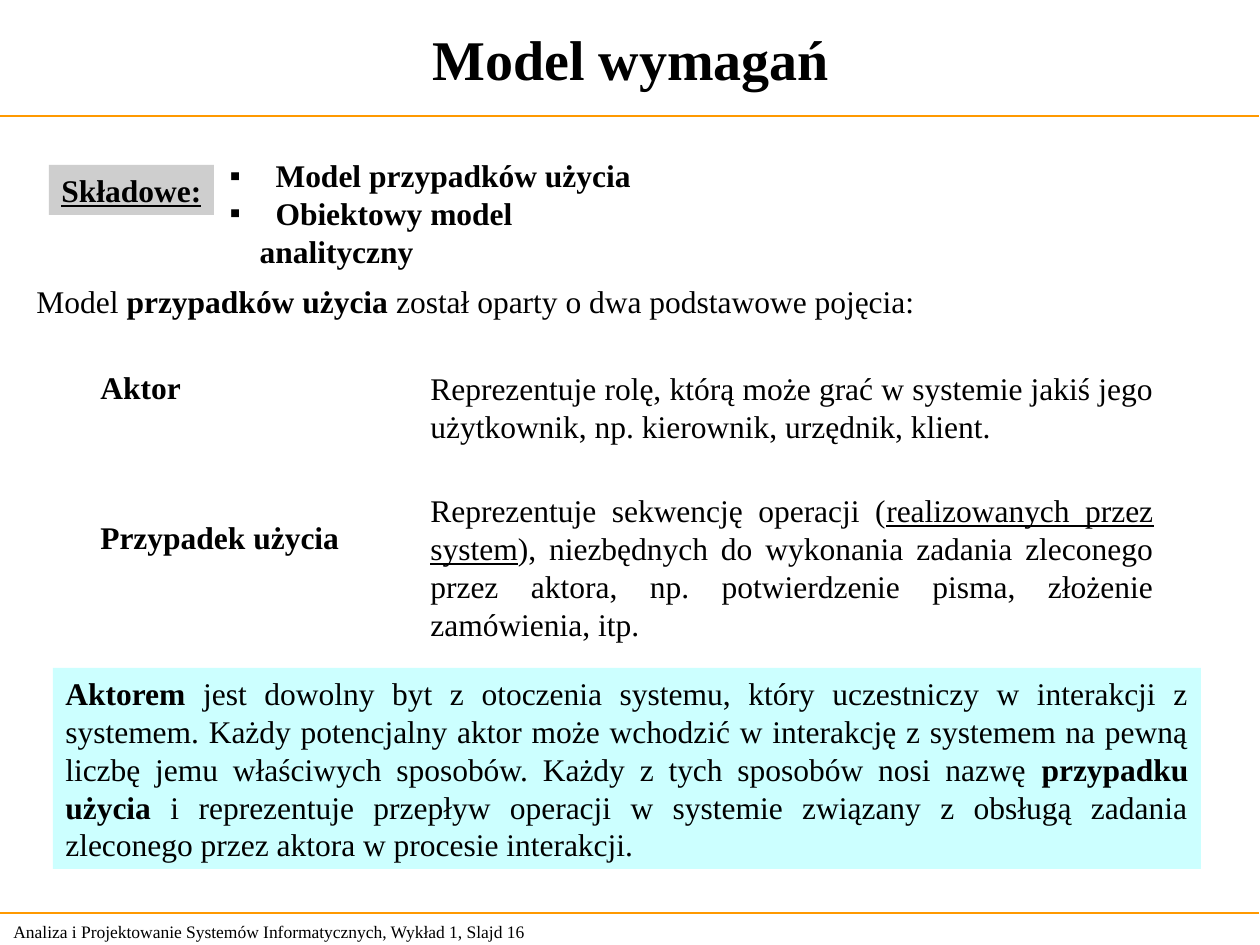
from dataclasses import dataclass

from lxml.etree import SubElement
from pptx import Presentation
from pptx.dml.color import RGBColor
from pptx.enum.shapes import MSO_CONNECTOR, MSO_SHAPE
from pptx.enum.text import MSO_ANCHOR, MSO_AUTO_SIZE, PP_ALIGN
from pptx.oxml.ns import qn
from pptx.util import Emu, Pt


@dataclass(frozen=True)
class Theme:
    """Colours, font and type sizes of the slide."""
    font: str = "Times New Roman"
    ink: RGBColor = RGBColor(0, 0, 0)
    rule: RGBColor = RGBColor(0xFF, 0x99, 0x00)
    grey: RGBColor = RGBColor(0xCE, 0xCE, 0xCE)
    cyan: RGBColor = RGBColor(0xCC, 0xFF, 0xFF)
    title: int = 32
    body: int = 18
    footer: int = 10


THEME = Theme()


def px(n):
    """Turn pixels into EMU."""
    return Emu(round(n * 914400 / 126))


def place(sp, x, y, w, h):
    """Position a shape, in pixels."""
    sp.left, sp.top, sp.width, sp.height = px(x), px(y), px(w), px(h)


def frame(sp, anchor=MSO_ANCHOR.TOP, wrap=True):
    """Set up the text frame of a shape and return it."""
    tf = sp.text_frame
    tf.auto_size = MSO_AUTO_SIZE.NONE
    tf.word_wrap = wrap
    tf.vertical_anchor = anchor
    return tf


def write(p, runs, size=THEME.body, align=PP_ALIGN.LEFT):
    """Write (text, style) runs, where style may hold b and u."""
    p.alignment = align
    p.space_before = Pt(0)
    for text, style in runs:
        r = p.add_run()
        r.text = text
        r.font.name = THEME.font
        r.font.size = Pt(size)
        r.font.color.rgb = THEME.ink
        r.font.bold = "b" in style
        r.font.underline = "u" in style


def add_title(s, text):
    """Fill the title placeholder."""
    sp = s.shapes.title
    place(sp, 0, 0, 1262, 116)
    tf = frame(sp, MSO_ANCHOR.MIDDLE)
    write(tf.paragraphs[0], [(text, "b")], THEME.title, PP_ALIGN.CENTER)


def add_list(s, items):
    """Fill the body placeholder with square bullets."""
    sp = s.placeholders[1]
    place(sp, 217, 150, 462, 88)
    tf = frame(sp)
    for i, item in enumerate(items):
        p = tf.paragraphs[0] if i == 0 else tf.add_paragraph()
        pPr = p._p.get_or_add_pPr()
        pPr.set("marL", str(px(30)))
        pPr.set("indent", str(px(-30)))
        SubElement(pPr, qn("a:buFont"), typeface="Arial")
        SubElement(pPr, qn("a:buChar"), char="▪")
        tabs = SubElement(pPr, qn("a:tabLst"))
        SubElement(tabs, qn("a:tab"), pos=str(px(46)), algn="l")
        write(p, [("\t" + item, "b")])


def add_text(s, box, runs, size=THEME.body, align=PP_ALIGN.LEFT,
             anchor=MSO_ANCHOR.TOP, wrap=True):
    """Add a plain text box."""
    sp = s.shapes.add_textbox(*map(px, box))
    write(frame(sp, anchor, wrap).paragraphs[0], runs, size, align)


def add_panel(s, box, fill, runs, align=PP_ALIGN.LEFT, wrap=True):
    """Add a filled rectangle with text."""
    sp = s.shapes.add_shape(MSO_SHAPE.RECTANGLE, *map(px, box))
    sp.shadow.inherit = False
    sp.fill.solid()
    sp.fill.fore_color.rgb = fill
    sp.line.fill.background()
    write(frame(sp, wrap=wrap).paragraphs[0], runs, align=align)


def add_rule(s, y):
    """Add a horizontal line across the slide."""
    cn = s.shapes.add_connector(MSO_CONNECTOR.STRAIGHT, px(-1), px(y), px(1259), px(y))
    cn.line.color.rgb = THEME.rule
    cn.line.width = Pt(0.75)
    SubElement(cn._element.spPr, qn("a:effectLst"))


def main():
    """Build the slide and save it."""
    prs = Presentation()
    prs.slide_width, prs.slide_height = px(1260), px(945)
    s = prs.slides.add_slide(prs.slide_layouts[1])

    for y in (116, 913):
        add_rule(s, y)
    add_text(s, (1, 914, 599, 34), [
        ("Analiza i Projektowanie Systemów Informatycznych, Wykład 1, Slajd 16", ""),
    ], THEME.footer, anchor=MSO_ANCHOR.MIDDLE)

    add_title(s, "Model wymagań")
    add_list(s, ["Model przypadków użycia", "Obiektowy model analityczny"])
    add_panel(s, (49, 165, 165, 50), THEME.grey, [("Składowe:", "bu")], wrap=False)
    add_text(s, (24, 276, 903, 50), [
        ("Model ", ""),
        ("przypadków użycia ", "b"),
        ("został oparty o dwa podstawowe pojęcia:", ""),
    ], wrap=False)

    add_text(s, (88, 362, 106, 50), [("Aktor", "b")], wrap=False)
    add_text(s, (88, 512, 263, 50), [("Przypadek użycia", "b")], wrap=False)
    add_text(s, (418, 363, 748, 88), [
        ("Reprezentuje rolę, którą może grać w systemie jakiś jego użytkownik, "
         "np. kierownik, urzędnik, klient.", ""),
    ], align=PP_ALIGN.JUSTIFY)
    add_text(s, (418, 485, 748, 164), [
        ("Reprezentuje sekwencję operacji (", ""),
        ("realizowanych przez system", "u"),
        ("), niezbędnych do wykonania zadania zleconego przez aktora, "
         "np. potwierdzenie pisma, złożenie zamówienia, itp.", ""),
    ], align=PP_ALIGN.JUSTIFY)

    add_panel(s, (53, 668, 1148, 201), THEME.cyan, [
        ("Aktorem", "b"),
        (" jest dowolny byt z otoczenia systemu, który uczestniczy w interakcji "
         "z systemem. Każdy potencjalny aktor może wchodzić w interakcję z systemem "
         "na pewną liczbę jemu właściwych sposobów. Każdy z tych sposobów nosi nazwę ", ""),
        ("przypadku użycia", "b"),
        (" i reprezentuje przepływ operacji w systemie związany z obsługą zadania "
         "zleconego przez aktora w procesie interakcji.", ""),
    ], PP_ALIGN.JUSTIFY)
    prs.save("out.pptx")


if __name__ == "__main__":
    main()
